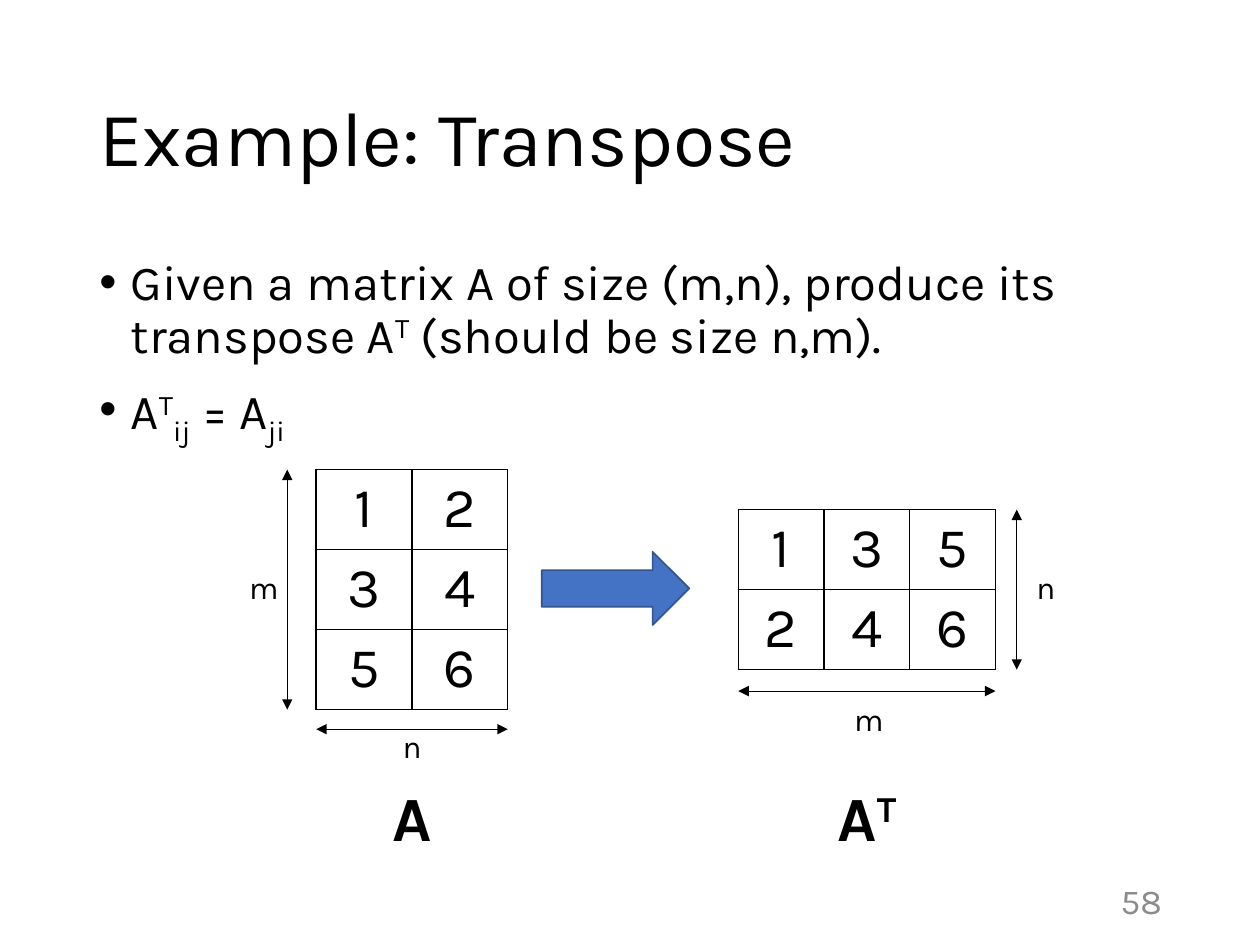
import pptx
import pptx.util
import pptx.dml.color
import pptx.enum.shapes
import pptx.enum.text
import pptx.oxml
import pptx.oxml.ns

Inches, Pt = pptx.util.Inches, pptx.util.Pt
ALIGN, ANCHOR = pptx.enum.text.PP_ALIGN, pptx.enum.text.MSO_ANCHOR

# Content: a paragraph is a list of (text, baseline shift in percent)
TITLE = [[("Example: Transpose", 0)]]
BULLETS = [
    [("Given a matrix A of size (m,n), produce its transpose A", 0),
     ("T", 30), (" (should be size n,m).", 0)],
    [("A", 0), ("T", 30), ("ij", -25), (" = A", 0), ("ji", -25)],
]
PAGE_NUMBER = [[("58", 0)]]
MATRIX = [(1, 2), (3, 4), (5, 6)]
# Lengths in inches; side is the distance of the vertical dimension line from
# the table's nearest edge, label_x and label_y place the dimension names
MATRICES = [
    dict(values=MATRIX, left=2.51, col=0.76, name=[("A", 0)],
         rows_name="m", cols_name="n", side=-0.23, label_x=-0.2, label_y=0.13),
    dict(values=list(zip(*MATRIX)), left=5.86, col=0.68, name=[("A", 0), ("T", 30)],
         rows_name="n", cols_name="m", side=0.17, label_x=0.23, label_y=0.22),
]

# Layout
WIDTH, HEIGHT = 10, 7.5
MARGIN = 0.69
BODY_WIDTH = WIDTH - 2 * MARGIN
MIDDLE = 4.68        # centre line shared by both matrices and the arrow
ROW = 0.62
DIMENSION_ROW = 0.635
NAME_Y = 6.48
FONT = "Karla"


def color(value):
    return pptx.dml.color.RGBColor.from_string(value)


def format_span(span, size, ink, bold=False, shift=0):
    span.font.name, span.font.size, span.font.bold = FONT, Pt(size), bold
    span.font.color.rgb = color(ink)
    if shift:
        span._r.get_or_add_rPr().set("baseline", str(shift * 1000))


def xml(text):
    return pptx.oxml.parse_xml(text.replace(">", f" {pptx.oxml.ns.nsdecls('a')}>", 1))


def add_text(page, paragraphs, left, top, width, height, size, ink="000000", bold=False,
             align=ALIGN.LEFT, anchor=ANCHOR.TOP, wrap=True, spacing=None, bullet=False):
    box = page.shapes.add_textbox(*map(Inches, (left, top, width, height)))
    frame = box.text_frame
    frame.word_wrap, frame.vertical_anchor = wrap, anchor
    for number, spans in enumerate(paragraphs):
        para = frame.add_paragraph() if number else frame.paragraphs[0]
        para.alignment = align
        if spacing:
            para.line_spacing = spacing
        for text, shift in spans:
            span = para.add_run()
            span.text = text
            format_span(span, size, ink, bold, shift)
        if bullet:
            para.space_before = Pt(10)
            props = para._p.get_or_add_pPr()
            props.set("marL", str(Inches(0.25)))
            props.set("indent", str(Inches(-0.25)))
            props.append(xml('<a:buFont><a:latin/></a:buFont>'.replace(
                "<a:buFont><a:latin/></a:buFont>", '<a:buFont typeface="Arial"></a:buFont>')))
            props.append(xml('<a:buChar char="•"></a:buChar>'))


def add_label(page, spans, center_x, center_y, size=18, bold=False):
    width, height = 0.4 * size / 18, 0.4 * size / 18
    add_text(page, [spans], center_x - width / 2, center_y - height / 2, width, height,
             size, bold=bold, align=ALIGN.CENTER, anchor=ANCHOR.MIDDLE, wrap=False)


def add_dimension(page, *ends):
    line = page.shapes.add_connector(
        pptx.enum.shapes.MSO_CONNECTOR.STRAIGHT, *map(Inches, ends))
    line.line.color.rgb, line.line.width = color("000000"), Pt(0.5)
    for tag in ("headEnd", "tailEnd"):
        line.line._get_or_add_ln().append(xml(f'<a:{tag} type="triangle"></a:{tag}>'))
    line._element.spPr.append(xml("<a:effectLst></a:effectLst>"))


def add_table(page, values, left, top, col):
    rows, cols = len(values), len(values[0])
    table = page.shapes.add_table(
        rows, cols, *map(Inches, (left, top, cols * col, rows * ROW))).table
    table.first_row = table.horz_banding = False
    for column in table.columns:
        column.width = Inches(col)
    for row, numbers in zip(table.rows, values):
        row.height = Inches(ROW)
        for cell, number in zip(row.cells, numbers):
            para = cell.text_frame.paragraphs[0]
            para.alignment = ALIGN.CENTER
            span = para.add_run()
            span.text = str(number)
            format_span(span, 32, "000000")
            for side in "LRTB":
                cell._tc.get_or_add_tcPr().append(xml(
                    f'<a:ln{side} w="{Pt(1)}"><a:solidFill><a:srgbClr val="000000"/>'
                    f'</a:solidFill></a:ln{side}>'))
            cell.fill.background()


def add_matrix(page, values, left, col, name, rows_name, cols_name, side, label_x, label_y):
    height = len(values) * DIMENSION_ROW
    top, right = MIDDLE - height / 2, left + len(values[0]) * col
    center = (left + right) / 2
    add_table(page, values, left, top, col)
    # Dimension lines and their names
    line_x = (left if side < 0 else right) + side
    line_y = top + len(values) * ROW + 0.2
    add_dimension(page, line_x, top, line_x, top + height)
    add_dimension(page, left, line_y, right, line_y)
    add_label(page, [(rows_name, 0)], line_x + label_x, MIDDLE - 0.02)
    add_label(page, [(cols_name, 0)], center, line_y + label_y)
    add_label(page, name, center, NAME_Y, size=36, bold=True)


def main():
    deck = pptx.Presentation()
    deck.slide_width, deck.slide_height = Inches(WIDTH), Inches(HEIGHT)
    page = deck.slides.add_slide(deck.slide_layouts[6])

    # Title, bullets and page number
    add_text(page, TITLE, MARGIN, 0.4, BODY_WIDTH, 1.45, 44,
             anchor=ANCHOR.MIDDLE, spacing=0.9)
    add_text(page, BULLETS, MARGIN, 2, BODY_WIDTH, 4.76, 28, spacing=0.9, bullet=True)
    add_text(page, PAGE_NUMBER, 8.65, 6.95, 0.67, 0.4, 20, ink="8C8C8C",
             align=ALIGN.RIGHT, anchor=ANCHOR.MIDDLE)

    # Matrices with the arrow between them
    for matrix in MATRICES:
        add_matrix(page, **matrix)
    arrow = page.shapes.add_shape(pptx.enum.shapes.MSO_SHAPE.RIGHT_ARROW,
                                  *map(Inches, (4.3, MIDDLE - 0.3, 1.17, 0.58)))
    arrow.shadow.inherit = False
    arrow.fill.solid()
    arrow.fill.fore_color.rgb = color("4472C4")
    arrow.line.color.rgb, arrow.line.width = color("325491"), Pt(1)

    deck.save("out.pptx")


if __name__ == "__main__":
    main()
